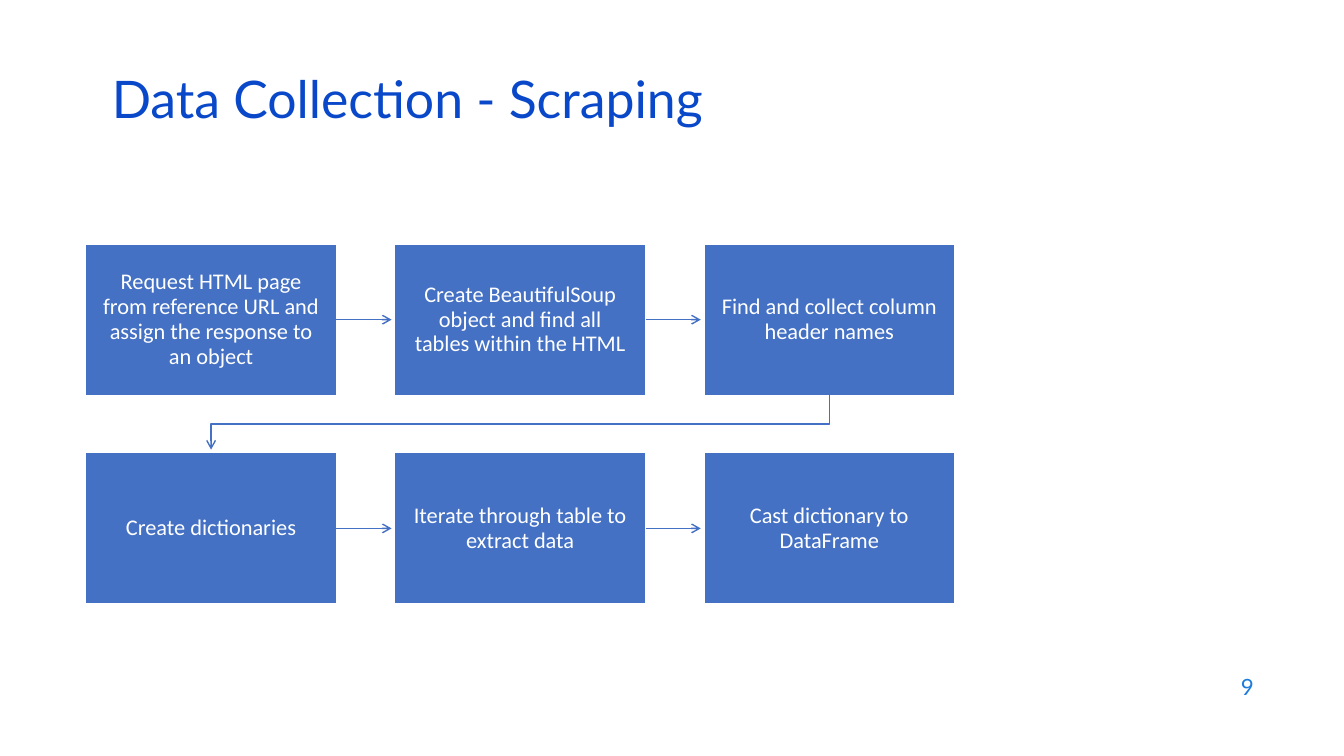
from dataclasses import dataclass

from lxml.etree import SubElement
from pptx import Presentation
from pptx.dml.color import RGBColor
from pptx.enum.shapes import MSO_CONNECTOR as Connector, MSO_SHAPE as Preset
from pptx.enum.text import MSO_ANCHOR as Anchor, PP_ALIGN as Align
from pptx.oxml.ns import qn
from pptx.slide import Slide
from pptx.text.text import TextFrame
from pptx.util import Cm, Pt


@dataclass(frozen=True)
class TextStyle:
    font: str
    size: float
    color: RGBColor


@dataclass(frozen=True)
class Theme:
    step_fill: RGBColor = RGBColor.from_string("4471C4")
    step_border: RGBColor = RGBColor.from_string("FFFFFF")
    border_width: float = 0.96
    arrow_width: float = 1
    title: TextStyle = TextStyle("Lato", 37, RGBColor.from_string("0A48CA"))
    step: TextStyle = TextStyle("Calibri", 16, RGBColor.from_string("FFFFFF"))
    page: TextStyle = TextStyle("Lato", 16, RGBColor.from_string("1C7CDB"))


@dataclass(frozen=True)
class Step:
    """One box of the flow; lengths are in centimetres."""
    text: str
    column: int
    row: int

    @property
    def left(self) -> float:
        return GRID_LEFT + self.column * COLUMN_PITCH

    @property
    def top(self) -> float:
        return GRID_TOP + self.row * ROW_PITCH

    @property
    def right(self) -> float:
        return self.left + STEP_WIDTH

    @property
    def bottom(self) -> float:
        return self.top + STEP_HEIGHT

    @property
    def center_x(self) -> float:
        return self.left + STEP_WIDTH / 2

    @property
    def center_y(self) -> float:
        return self.top + STEP_HEIGHT / 2


THEME = Theme()
GRID_LEFT, GRID_TOP = 2.16, 6.15
STEP_WIDTH, STEP_HEIGHT = 6.32, 3.81
COLUMN_PITCH, ROW_PITCH = 7.79, 5.26
COLUMNS = 3
ARROW_GAP = 0.08  # space between an arrow tip and the next box

STEP_TEXTS = [
    "Request HTML page\vfrom reference URL and\vassign the response to\van object",
    "Create BeautifulSoup\vobject and find all\vtables within the HTML",
    "Find and collect column\vheader names",
    "Create dictionaries",
    "Iterate through table to\vextract data",
    "Cast dictionary to\vDataFrame",
]


def write(frame: TextFrame, text: str, style: TextStyle,
          align: Align = Align.LEFT) -> None:
    frame.margin_left = frame.margin_right = 0
    frame.margin_top = frame.margin_bottom = 0
    frame.word_wrap = True
    paragraph = frame.paragraphs[0]
    paragraph.text = text
    paragraph.alignment = align
    paragraph.font.name = style.font
    paragraph.font.size = Pt(style.size)
    paragraph.font.color.rgb = style.color


def add_label(slide: Slide, text: str, style: TextStyle, left: float,
              top: float, width: float, height: float) -> None:
    label = slide.shapes.add_textbox(Cm(left), Cm(top), Cm(width), Cm(height))
    write(label.text_frame, text, style)


def add_step(slide: Slide, step: Step) -> None:
    box = slide.shapes.add_shape(Preset.RECTANGLE, Cm(step.left), Cm(step.top),
                                 Cm(STEP_WIDTH), Cm(STEP_HEIGHT))
    box.shadow.inherit = False
    box.fill.solid()
    box.fill.fore_color.rgb = THEME.step_fill
    box.line.color.rgb = THEME.step_border
    box.line.width = Pt(THEME.border_width)
    write(box.text_frame, step.text, THEME.step, Align.CENTER)
    box.text_frame.vertical_anchor = Anchor.MIDDLE
    box.text_frame.paragraphs[0].line_spacing = 0.92


def style_arrow(arrow) -> None:
    arrow.line.color.rgb = THEME.step_fill
    arrow.line.width = Pt(THEME.arrow_width)
    SubElement(arrow.line._get_or_add_ln(), qn("a:tailEnd"), type="arrow")


def add_straight_arrow(slide: Slide, source: Step, target: Step) -> None:
    arrow = slide.shapes.add_connector(
        Connector.STRAIGHT, Cm(source.right), Cm(source.center_y),
        Cm(target.left - ARROW_GAP), Cm(target.center_y))
    style_arrow(arrow)
    SubElement(arrow._element.spPr, qn("a:effectLst"))


def add_return_arrow(slide: Slide, source: Step, target: Step) -> None:
    middle = (source.bottom + target.top) / 2
    route = slide.shapes.build_freeform(Cm(source.center_x), Cm(source.bottom))
    route.add_line_segments([
        (Cm(source.center_x), Cm(middle)),
        (Cm(target.center_x), Cm(middle)),
        (Cm(target.center_x), Cm(target.top - ARROW_GAP)),
    ], close=False)
    arrow = route.convert_to_shape()
    arrow.fill.background()
    style_arrow(arrow)
    arrow.shadow.inherit = False


def main() -> None:
    deck = Presentation()
    deck.slide_width, deck.slide_height = Cm(33.87), Cm(19.05)
    slide = deck.slides.add_slide(deck.slide_layouts[6])

    # Title and page number
    add_label(slide, "Data Collection - Scraping", THEME.title,
              2.82, 1.67, 15.2, 1.63)
    add_label(slide, "9", THEME.page, 31.27, 16.97, 0.53, 0.71)

    # Steps, filled row by row
    steps = [Step(text, index % COLUMNS, index // COLUMNS)
             for index, text in enumerate(STEP_TEXTS)]
    for step in steps:
        add_step(slide, step)

    # Arrows from each step to the next
    for source, target in zip(steps, steps[1:]):
        if source.row == target.row:
            add_straight_arrow(slide, source, target)
        else:
            add_return_arrow(slide, source, target)

    deck.save("out.pptx")


if __name__ == "__main__":
    main()
